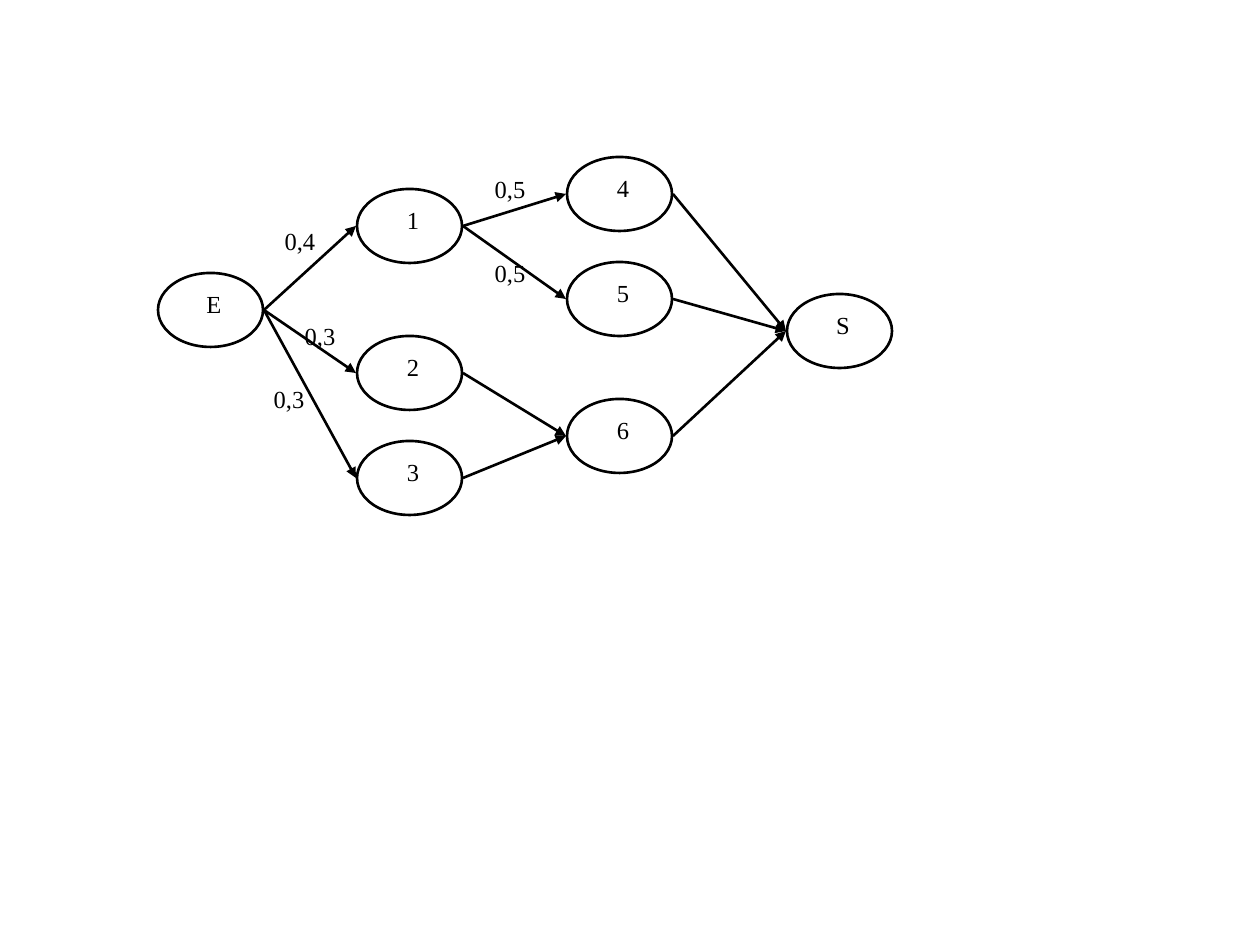
from lxml.etree import SubElement
from pptx import Presentation
from pptx.dml.color import RGBColor
from pptx.enum.shapes import MSO_CONNECTOR, MSO_SHAPE
from pptx.enum.text import MSO_AUTO_SIZE, PP_ALIGN
from pptx.oxml.ns import qn
from pptx.util import Emu, Pt

NODE_WIDTH, NODE_HEIGHT = 105, 74
NODES = {
    "E": (158, 273),
    "1": (357, 189),
    "2": (357, 336),
    "3": (357, 441),
    "4": (567, 157),
    "5": (567, 262),
    "6": (567, 399),
    "S": (787, 294),
}
EDGES = ["E1", "E2", "E3", "14", "15", "26", "36", "4S", "5S", "6S"]
PROBABILITIES = [
    ("0,4", 242, 220),
    ("0,3", 231, 378),
    ("0,3", 262, 315),
    ("0,5", 452, 168),
    ("0,5", 452, 252),
]


def px(length):
    return Emu(round(length * 914400 / 126))


def color(value):
    return RGBColor.from_string(value)


class Diagram:
    font = "Times New Roman"
    size = Pt(14)
    ink = "000000"
    stroke = Pt(1.5)

    def __init__(self, slide):
        self.shapes = slide.shapes

    def outline(self, line):
        line.color.rgb = color(self.ink)
        line.width = self.stroke

    def text(self, wording, left, top, width):
        box = self.shapes.add_textbox(px(left), px(top), px(width), px(43))
        frame = box.text_frame
        frame.word_wrap = True
        frame.auto_size = MSO_AUTO_SIZE.SHAPE_TO_FIT_TEXT
        para = frame.paragraphs[0]
        para.alignment = PP_ALIGN.CENTER
        span = para.add_run()
        span.text = wording
        span.font.name = self.font
        span.font.size = self.size
        span.font.color.rgb = color(self.ink)

    def node(self, name, left, top):
        oval = self.shapes.add_shape(
            MSO_SHAPE.OVAL, px(left), px(top), px(NODE_WIDTH), px(NODE_HEIGHT)
        )
        oval.shadow.inherit = False
        oval.fill.background()
        self.outline(oval.line)
        self.text(name, left + 32, top + 10, 48)

    def arrow(self, start, end):
        middle = NODE_HEIGHT // 2
        connector = self.shapes.add_connector(
            MSO_CONNECTOR.STRAIGHT,
            px(start[0] + NODE_WIDTH + 1),
            px(start[1] + middle),
            px(end[0] - 1),
            px(end[1] + middle),
        )
        self.outline(connector.line)
        properties = connector.line._get_or_add_ln()
        SubElement(properties, qn("a:tailEnd"), type="triangle")
        SubElement(connector._element.spPr, qn("a:effectLst"))


def main():
    deck = Presentation()
    deck.slide_width = px(1260)
    deck.slide_height = px(945)
    page = deck.slides.add_slide(deck.slide_layouts[6])
    diagram = Diagram(page)
    for source, target in EDGES:
        diagram.arrow(NODES[source], NODES[target])
    for name, (left, top) in NODES.items():
        diagram.node(name, left, top)
    for wording, left, top in PROBABILITIES:
        diagram.text(wording, left, top, 116)
    deck.save("out.pptx")


if __name__ == "__main__":
    main()
